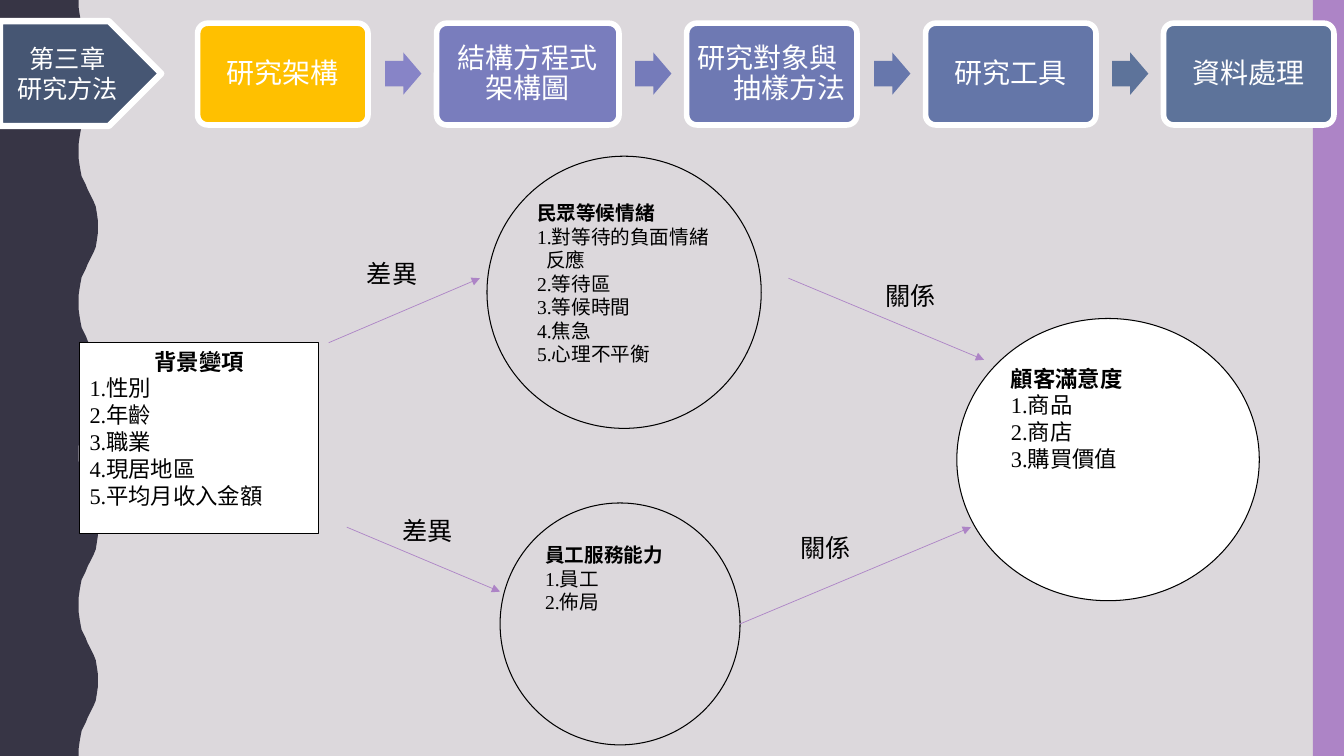
from lxml import etree
from pptx import Presentation
from pptx.dml.color import RGBColor
from pptx.enum.shapes import MSO_CONNECTOR as Link, MSO_SHAPE as Kind
from pptx.enum.text import MSO_ANCHOR as Anchor, PP_ALIGN as Align
from pptx.oxml.ns import qn
from pptx.util import Pt

PX = 9144  # 100 px to the inch
WHITE = RGBColor(0xFF, 0xFF, 0xFF)
BLACK = RGBColor(0x00, 0x00, 0x00)
PAPER = RGBColor(0xDC, 0xD8, 0xDC)
DARK = RGBColor(0x37, 0x35, 0x45)
PURPLE = RGBColor(0xAD, 0x84, 0xC6)
SLATE = RGBColor(0x46, 0x56, 0x73)
GOLD = RGBColor(0xFF, 0xC0, 0x00)
IRIS = RGBColor(0x79, 0x7D, 0xBD)
BLUE = RGBColor(0x6E, 0x79, 0xB3)
STEEL = RGBColor(0x64, 0x76, 0xA8)
TEAL = RGBColor(0x5D, 0x73, 0x9A)
LILAC = RGBColor(0x87, 0x84, 0xC7)
VIOLET = RGBColor(0x75, 0x7B, 0xBA)
DENIM = RGBColor(0x67, 0x77, 0xAC)
SANS, SERIF = "Noto Sans CJK SC", "Times New Roman"

prs = Presentation()
prs.slide_width, prs.slide_height = 1333 * PX, 750 * PX
slide = prs.slides.add_slide(prs.slide_layouts[6])
slide.background.fill.solid()
slide.background.fill.fore_color.rgb = PAPER
shapes = slide.shapes


def add_box(kind, box, fill=None, edge=None, width=0):
    shape = shapes.add_shape(kind, *[n * PX for n in box])
    shape.shadow.inherit = False
    if fill is None:
        shape.fill.background()
    else:
        shape.fill.solid()
        shape.fill.fore_color.rgb = fill
    if edge is None:
        shape.line.fill.background()
    else:
        shape.line.color.rgb = edge
        shape.line.width = Pt(width)
    return shape


def write(shape, lines, size, font, color, align, anchor):
    frame = shape.text_frame
    frame.word_wrap = True
    frame.vertical_anchor = anchor
    frame.text = "\n".join(lines)
    for para in frame.paragraphs:
        para.alignment = align
        para.font.size = Pt(size)
        para.font.name = font
        para.font.color.rgb = color
    return frame


# Wavy band on the left, five waves of 150 px
rise = [(78, 0), (78, 7), (79, 14), (80, 20), (81, 25), (83, 29), (85, 33),
        (87, 38), (89, 42), (91, 46), (93, 50), (95, 55), (96, 61), (97, 68)]
wave = rise + [(97, 75)] + [(x, 150 - y) for x, y in rise[:0:-1]]
edge = [(x, y + 150 * i) for i in range(5) for x, y in wave]
pen = shapes.build_freeform(0, 0, scale=PX)
pen.add_line_segments(edge + [(78, 750), (0, 750)], close=True)
band = pen.convert_to_shape()
band.shadow.inherit = False
band.fill.solid()
band.fill.fore_color.rgb = DARK
band.line.fill.background()

# Bar on the right
add_box(Kind.RECTANGLE, (1302, 0, 31, 750), PURPLE)

# Variables of the model: heading, then items
nodes = [
    (Kind.OVAL, (483, 155, 272, 270), None, 14, Align.LEFT,
     ["民眾等候情緒", "1.對等待的負面情緒", "反應", "2.等待區",
      "3.等候時間", "4.焦急", "5.心理不平衡"]),
    (Kind.RECTANGLE, (79, 340, 237, 189), WHITE, 16, Align.CENTER,
     ["背景變項", "1.性別", "2.年齡", "3.職業", "4.現居地區",
      "5.平均月收入金額"]),
    (Kind.OVAL, (949, 316, 300, 280), WHITE, 16, Align.LEFT,
     ["顧客滿意度", "1.商品", "2.商店", "3.購買價值"]),
    (Kind.OVAL, (496, 499, 238, 240), None, 14, Align.LEFT,
     ["員工服務能力", "1.員工", "2.佈局"]),
]
for kind, box, fill, size, align, lines in nodes:
    node = add_box(kind, box, fill, BLACK, 0.75)
    frame = write(node, lines, size, SERIF, BLACK, Align.LEFT, Anchor.TOP)
    head = frame.paragraphs[0]
    head.alignment = align
    head.font.bold = True
    for para in frame.paragraphs:
        if para.text == "反應":
            para._p.get_or_add_pPr().set("marL", str(9 * PX))

# Arrows between the variables, each with its label
links = [
    ((326, 340, 476, 276), "差異", (354, 251, 121, 40)),
    ((344, 523, 496, 587), "差異", (389, 506, 121, 40)),
    ((782, 276, 976, 357), "關係", (868, 273, 71, 40)),
    ((734, 619, 963, 523), "關係", (784, 523, 81, 40)),
]
for ends, text, box in links:
    arrow = shapes.add_connector(Link.STRAIGHT, *[n * PX for n in ends])
    arrow.line.color.rgb = PURPLE
    arrow.line.width = Pt(0.5)
    etree.SubElement(arrow.line._get_or_add_ln(), qn("a:tailEnd"), type="triangle")
    etree.SubElement(arrow._element.spPr, qn("a:effectLst"))
    label = shapes.add_textbox(*[n * PX for n in box])
    write(label, [text], 18, SERIF, BLACK, Align.LEFT, Anchor.TOP)

# Chapter tag
tag = add_box(Kind.PENTAGON, (0, 21, 160, 104), SLATE, WHITE, 4.5)
write(tag, ["第三章", "研究方法"], 18, SANS, WHITE, Align.CENTER, Anchor.MIDDLE)

# Steps of the chapter, with an arrow before each but the first
steps = [
    (196, 169, GOLD, None, ["研究架構"]),
    (433, 181, IRIS, LILAC, ["結構方程式架構圖"]),
    (681, 169, BLUE, VIOLET, ["研究對象與", "抽樣方法"]),
    (918, 169, STEEL, DENIM, ["研究工具"]),
    (1154, 169, TEAL, TEAL, ["資料處理"]),
]
for left, width, fill, tint, lines in steps:
    if tint is not None:
        arrow = add_box(Kind.RIGHT_ARROW, (left - 51, 52, 36, 42), tint)
        arrow.adjustments[0] = 0.6
    card = add_box(Kind.ROUNDED_RECTANGLE, (left, 23, width, 101), fill, WHITE, 4)
    card.adjustments[0] = 0.1
    frame = write(card, lines, 20, SANS, WHITE, Align.CENTER, Anchor.MIDDLE)
    frame.margin_left = frame.margin_right = 8 * PX
    for para in frame.paragraphs:
        para.line_spacing = 0.9
    if len(lines) > 1:
        frame.paragraphs[0].alignment = Align.LEFT
        frame.paragraphs[1].alignment = Align.RIGHT

prs.save("out.pptx")
